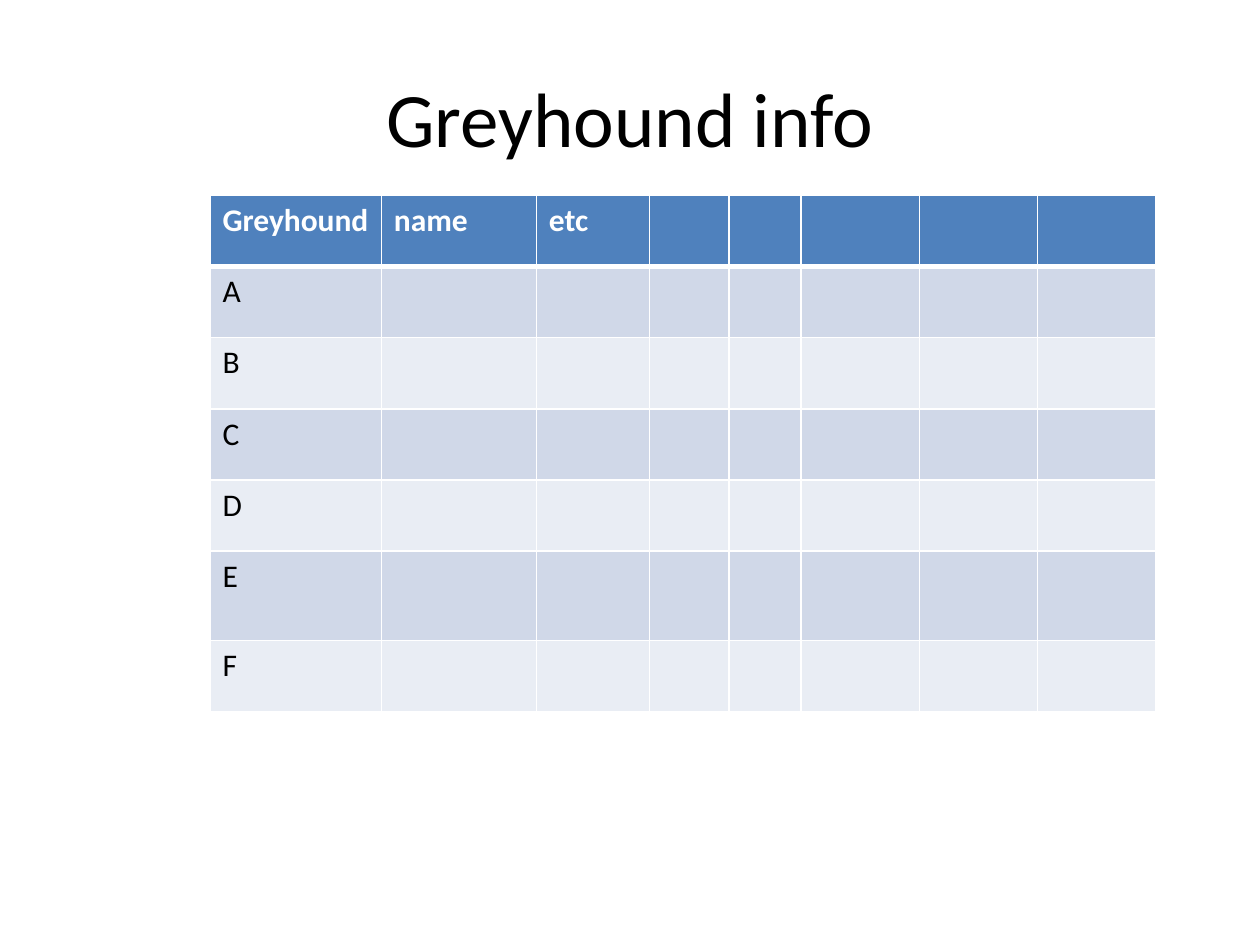
from lxml import etree
from pptx import Presentation
from pptx.dml.color import RGBColor
from pptx.enum.text import MSO_ANCHOR, PP_ALIGN
from pptx.oxml.ns import qn
from pptx.util import Inches, Pt

MIDDLE = MSO_ANCHOR.MIDDLE
CENTER = PP_ALIGN.CENTER

SLIDE_WIDTH, SLIDE_HEIGHT = 10, 7.5
FONT = "Calibri"
BLACK, WHITE = "000000", "FFFFFF"
HEADER_FILL = "4F81BD"
BAND_FILLS = ("D0D8E8", "E9EDF4")

HEADINGS = ["Greyhound", "name", "etc"]
ROW_LABELS = "ABCDEF"
COLUMN_WIDTHS = [1.36, 1.23, 0.9, 0.63, 0.57] + [0.94] * 3
ROW_HEIGHT = 0.565
TALL_ROW, TALL_HEIGHT = "E", 0.71


def color(hex_value):
    return RGBColor.from_string(hex_value)


def add_run(paragraph, text, size, hex_value, bold=False):
    run = paragraph.add_run()
    run.text = text
    run.font.name = FONT
    run.font.size = Pt(size)
    run.font.bold = bold
    run.font.color.rgb = color(hex_value)


def add_title(slide, text):
    margin = 0.05 * SLIDE_WIDTH
    box = slide.shapes.add_textbox(
        Inches(margin), Inches(0.04 * SLIDE_HEIGHT),
        Inches(SLIDE_WIDTH - 2 * margin), Inches(SLIDE_HEIGHT / 6))
    frame = box.text_frame
    frame.word_wrap = True
    frame.vertical_anchor = MIDDLE
    frame.paragraphs[0].alignment = CENTER
    add_run(frame.paragraphs[0], text, 44, BLACK)


def set_borders(cell, widths):
    """Draw white borders; widths maps L, R, T, B (in that order) to points."""
    properties = cell._tc.get_or_add_tcPr()
    for index, (side, width) in enumerate(widths.items()):
        line = etree.Element(qn(f"a:ln{side}"), w=str(Pt(width)))
        fill = etree.SubElement(line, qn("a:solidFill"))
        etree.SubElement(fill, qn("a:srgbClr"), val=WHITE)
        properties.insert(index, line)


def style_cell(cell, text, is_header, fill):
    cell.fill.solid()
    cell.fill.fore_color.rgb = color(fill)
    cell.margin_right = Inches(0.05)
    if text:
        add_run(cell.text_frame.paragraphs[0], text, 18,
                WHITE if is_header else BLACK, is_header)
    if is_header:
        set_borders(cell, {"L": 1, "R": 1, "T": 1, "B": 3})
    else:
        set_borders(cell, {"L": 1, "R": 1, "B": 1})


def add_info_table(slide):
    rows = [HEADINGS] + [[label] for label in ROW_LABELS]
    heights = [TALL_HEIGHT if row[0] == TALL_ROW else ROW_HEIGHT for row in rows]
    table = slide.shapes.add_table(
        len(rows), len(COLUMN_WIDTHS), Inches(SLIDE_WIDTH / 6), Inches(1.55),
        Inches(sum(COLUMN_WIDTHS)), Inches(sum(heights))).table

    for column, width in zip(table.columns, COLUMN_WIDTHS):
        column.width = Inches(width)

    for row_index, (texts, height) in enumerate(zip(rows, heights)):
        table.rows[row_index].height = Inches(height)
        is_header = row_index == 0
        fill = HEADER_FILL if is_header else BAND_FILLS[(row_index - 1) % 2]
        for column_index in range(len(COLUMN_WIDTHS)):
            text = texts[column_index] if column_index < len(texts) else ""
            style_cell(table.cell(row_index, column_index), text, is_header, fill)


def main():
    presentation = Presentation()
    presentation.slide_width = Inches(SLIDE_WIDTH)
    presentation.slide_height = Inches(SLIDE_HEIGHT)
    slide = presentation.slides.add_slide(presentation.slide_layouts[6])

    # Heading above the table
    add_title(slide, "Greyhound info")

    # One row per greyhound, with room for further details
    add_info_table(slide)

    presentation.save("out.pptx")


if __name__ == "__main__":
    main()
